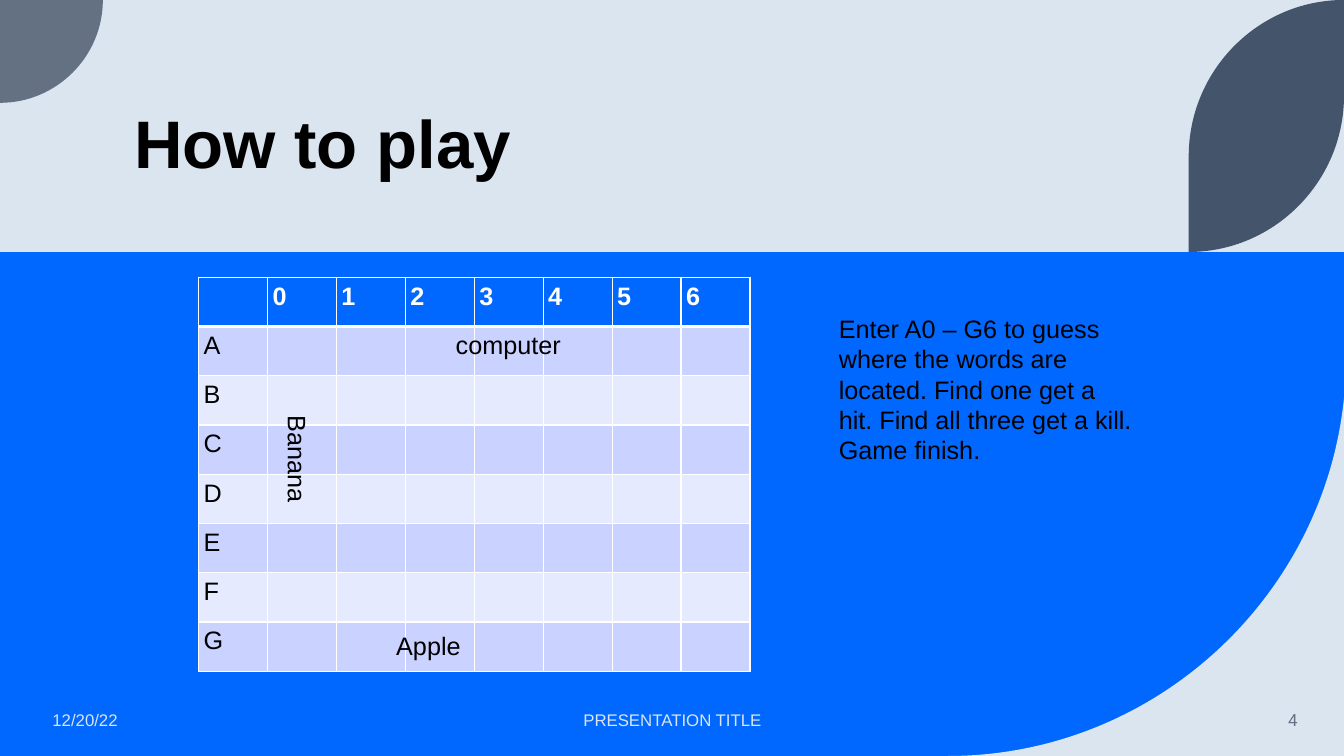
from lxml import etree
from pptx import Presentation
from pptx.dml.color import RGBColor
from pptx.enum.text import MSO_ANCHOR, MSO_AUTO_SIZE, PP_ALIGN
from pptx.oxml.ns import qn
from pptx.util import Pt

LEFT, CENTER, RIGHT = PP_ALIGN.LEFT, PP_ALIGN.CENTER, PP_ALIGN.RIGHT
TOP, MIDDLE, BOTTOM = MSO_ANCHOR.TOP, MSO_ANCHOR.MIDDLE, MSO_ANCHOR.BOTTOM
NO_FIT, GROW = MSO_AUTO_SIZE.NONE, MSO_AUTO_SIZE.SHAPE_TO_FIT_TEXT

BLUE, PALE, SLATE, NAVY = "0068FF", "DAE5EF", "637183", "44546A"
BANDS = "CAD2FF", "E6EAFF"
WHITE, BLACK = "FFFFFF", "000000"
INSET = 5


def px(n):
    """100 px to the inch."""
    return round(n * 9144)


def rgb(hex_string):
    return RGBColor.from_string(hex_string)


def quarter(start, corner, end):
    """Bezier points of a quarter circle that bulges towards a corner."""
    controls = [tuple(a + 0.55 * (c - a) for a, c in zip(point, corner))
                for point in (start, end)]
    return [*controls, end]


def write(tf, text, size=18, color=BLACK, font="Arial", bold=False, align=LEFT):
    p = tf.paragraphs[0]
    p.alignment = align
    r = p.add_run()
    r.text = text
    r.font.name, r.font.size, r.font.bold = font, Pt(size), bold
    r.font.color.rgb = rgb(color)


class SlideBuilder:
    def __init__(self, prs, background):
        self.s = prs.slides.add_slide(prs.slide_layouts[5])
        fill = self.s.background.fill
        fill.solid()
        fill.fore_color.rgb = rgb(background)

    def outline(self, color, start, *segments):
        """Each segment has one point (a line) or three (a Bezier curve)."""
        builder = self.s.shapes.build_freeform(*map(px, start))
        points = [(px(x), px(y)) for segment in segments for x, y in segment]
        builder.add_line_segments(points, close=True)
        sp = builder.convert_to_shape()
        lines = iter(list(sp.element.iter(qn("a:lnTo"))))
        for segment in segments:
            first, *others = [next(lines) for _ in segment]
            if others:
                first.tag = qn("a:cubicBezTo")
            for line in others:
                first.append(line[0])
                line.getparent().remove(line)
        sp.shadow.inherit = False
        sp.fill.solid()
        sp.fill.fore_color.rgb = rgb(color)
        sp.line.fill.background()

    def frame(self, sp, anchor, fit, wrap=True, indent=0):
        tf = sp.text_frame
        tf.word_wrap, tf.auto_size, tf.vertical_anchor = wrap, fit, anchor
        tf.margin_top = tf.margin_right = tf.margin_bottom = px(INSET)
        tf.margin_left = px(INSET + indent)
        return tf

    def title(self, text, x, y, w, h):
        sp = self.s.shapes.title
        sp.left, sp.top, sp.width, sp.height = map(px, (x, y, w, h))
        tf = self.frame(sp, BOTTOM, NO_FIT)
        write(tf, text, size=48, bold=True)
        tf.paragraphs[0].line_spacing = 0.9
        sp.element.getparent().append(sp.element)

    def text(self, text, x, y, w, h, anchor=TOP, wrap=True, indent=0, rotation=0, **style):
        sp = self.s.shapes.add_textbox(*map(px, (x, y, w, h)))
        sp.rotation = rotation
        write(self.frame(sp, anchor, GROW, wrap, indent), text, **style)

    def cell_borders(self, cell, **widths):
        tcPr = cell._tc.get_or_add_tcPr()
        for side in "LRTB":
            ln = etree.SubElement(tcPr, qn(f"a:ln{side}"), w=str(Pt(widths.get(side, 1))))
            fill = etree.SubElement(ln, qn("a:solidFill"))
            etree.SubElement(fill, qn("a:srgbClr"), val=WHITE)

    def table(self, rows, x, y, w, h):
        shape = self.s.shapes.add_table(len(rows), len(rows[0]), *map(px, (x, y, w, h)))
        for i, row in enumerate(rows):
            header = i == 0
            thick = {0: {"B": 3}, 1: {"T": 3}}.get(i, {})
            for j, text in enumerate(row):
                cell = shape.table.cell(i, j)
                cell.margin_left = cell.margin_right = px(INSET)
                cell.margin_top = cell.margin_bottom = px(INSET)
                self.cell_borders(cell, **thick)
                cell.fill.solid()
                cell.fill.fore_color.rgb = rgb(BLUE if header else BANDS[(i - 1) % 2])
                if text:
                    write(cell.text_frame, text, color=WHITE if header else BLACK, bold=header)


def main():
    prs = Presentation()
    prs.slide_width, prs.slide_height = px(1333), px(750)
    slide = SlideBuilder(prs, PALE)

    # Background panel and curved decorations
    slide.outline(BLUE, (0, 250), [(1335, 250)], [(1335, 750)], [(0, 750)])
    slide.outline(PALE, (1335, 355), quarter((1335, 355), (1335, 750), (940, 750)),
                  [(1335, 750)])
    slide.outline(SLATE, (0, 0), [(102, 0)], quarter((102, 0), (102, 102), (0, 102)))
    slide.outline(NAVY, (1333, 0), [(1333, 95)],
                  quarter((1333, 95), (1333, 250), (1179, 250)), [(1179, 155)],
                  quarter((1179, 155), (1179, 0), (1333, 0)))

    # Title and footer
    slide.title("How to play", 128, 42, 1069, 145)
    footer = dict(anchor=MIDDLE, size=12)
    slide.text("PRESENTATION TITLE", 447, 700, 440, 29, color=PALE, align=CENTER, **footer)
    slide.text("12/20/22", 47, 700, 290, 29, color=PALE, **footer)
    slide.text("4", 1271, 700, 21, 29, wrap=False, color=SLATE, font="Roboto",
               align=RIGHT, **footer)

    # Game board with the hidden words
    board = [["", *"0123456"]] + [[letter] + [""] * 7 for letter in "ABCDEFG"]
    slide.table(board, 197, 275, 547, 391)
    slide.text("Apple", 288, 620, 253, 41, indent=100)
    slide.text("Banana", 186, 496, 218, 41, rotation=90)
    slide.text("computer", 447, 322, 179, 41)

    # Instructions
    slide.text("Enter A0 – G6 to guess where the words are located. Find one get a hit. "
               "Find all three get a kill. Game finish.", 827, 306, 301, 163)

    prs.save("out.pptx")


if __name__ == "__main__":
    main()
